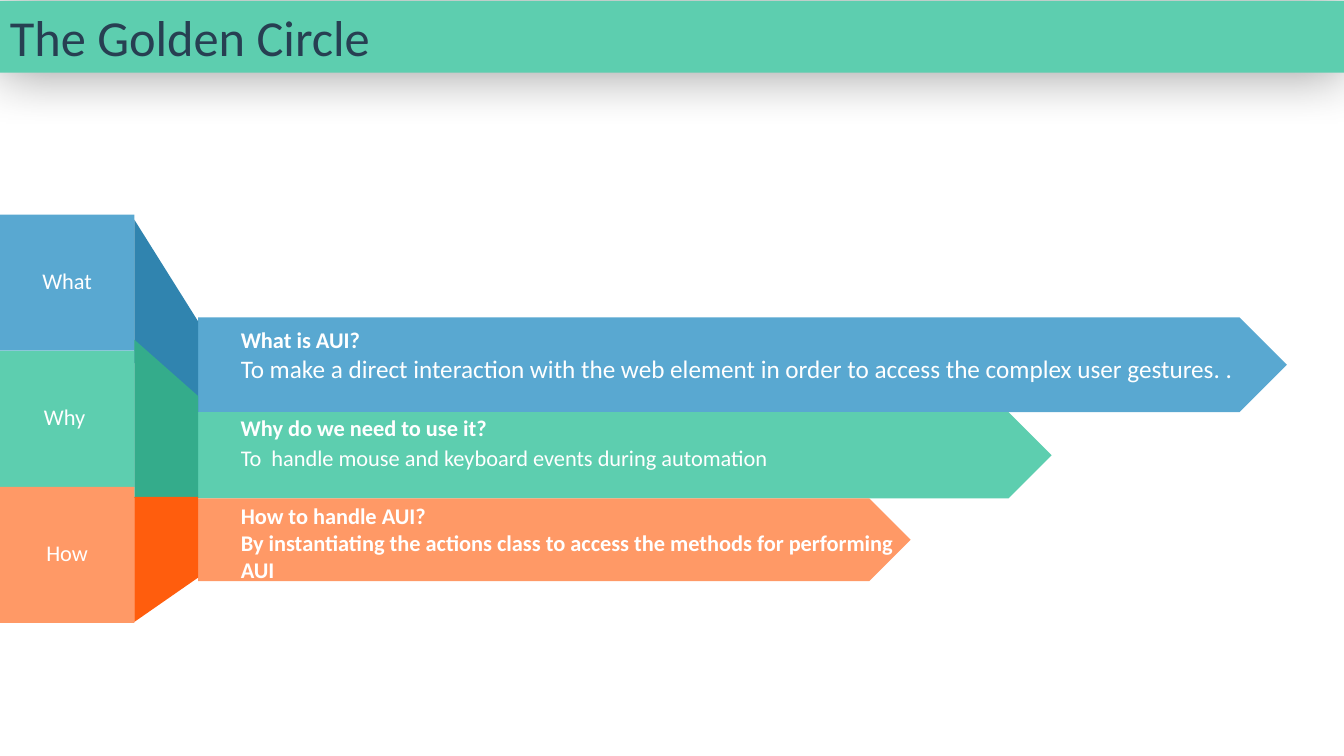
from dataclasses import dataclass

from lxml import etree
from pptx import Presentation
from pptx.dml.color import RGBColor
from pptx.enum.shapes import MSO_SHAPE
from pptx.enum.text import MSO_ANCHOR, MSO_AUTO_SIZE, PP_ALIGN
from pptx.oxml.ns import qn
from pptx.util import Inches, Pt

RECTANGLE, PENTAGON = MSO_SHAPE.RECTANGLE, MSO_SHAPE.PENTAGON
LEFT, CENTER = PP_ALIGN.LEFT, PP_ALIGN.CENTER
MIDDLE, TOP = MSO_ANCHOR.MIDDLE, MSO_ANCHOR.TOP
FIT_TEXT = MSO_AUTO_SIZE.SHAPE_TO_FIT_TEXT

WIDTH, HEIGHT = Inches(13.33), Inches(7.5)
COLUMNS, ROWS = 40, 30

# Positions on the grid, in columns and rows
TILE_WIDTH, TILE_TOP, TILE_HEIGHT = 4, 8.52, 5.4
LABEL_WIDTH, LABEL_HEIGHT, LABEL_OFFSET = 2.1, 1.48, 1.88
BAR_LEFT, BAR_TOP = 5.9, 12.6
CAPTION_LEFT = 6.87


@dataclass(frozen=True)
class Theme:
    font: str = "Calibri"
    title_size: int = 36
    large_size: int = 18
    body_size: int = 16
    title: str = "273F52"
    white: str = "FFFFFF"
    blue: str = "59A8D1"
    dark_blue: str = "3084AF"
    green: str = "5DCEAF"
    dark_green: str = "34AC8B"
    orange: str = "FF9966"
    dark_orange: str = "FF5D0D"


THEME = Theme()


@dataclass(frozen=True)
class Line:
    text: str
    bold: bool = False
    size: int = THEME.body_size


@dataclass(frozen=True)
class Caption:
    top: float
    width: float
    height: float
    lines: tuple
    wrap: bool = True


@dataclass(frozen=True)
class Band:
    label: str
    color: str
    fold_color: str
    bar_width: float
    bar_height: float
    fold_left: tuple   # top and bottom rows beside the tile
    fold_right: tuple  # top and bottom rows beside the bar
    captions: tuple


BANDS = (
    Band("What", THEME.blue, THEME.dark_blue, 32.4, 3.76,
         (8.72, 14.4), (12.76, 16.4), (
             Caption(12.76, 32.7, 2.68, (
                 Line("What is AUI?", True),
                 Line("To make a direct interaction with the web element in order "
                      "to access the complex user gestures. .",
                      size=THEME.large_size))),)),
    Band("Why ", THEME.green, THEME.dark_green, 25.4, 3.42,
         (13.48, 19.76), (15.72, 19.76), (
             Caption(16.24, 8, 1.48,
                     (Line("Why do we need to use it?", True),), wrap=False),
             Caption(17.44, 18.75, 1.48, (
                 Line("To  handle mouse and keyboard events during automation"),)))),
    Band("How", THEME.orange, THEME.dark_orange, 21.2, 3.28,
         (19.72, 24.68), (19.72, 22.92), (
             Caption(19.72, 20.25, 3.64, (
                 Line("How to handle AUI?", True),
                 Line("By instantiating the actions class to access the methods "
                      "for performing AUI ", True))),)),
)


def across(columns):
    return round(WIDTH * columns / COLUMNS)


def down(rows):
    return round(HEIGHT * rows / ROWS)


def grid_box(left, top, width, height):
    return across(left), down(top), across(width), down(height)


def paint(shape, color):
    shape.shadow.inherit = False
    shape.fill.solid()
    shape.fill.fore_color.rgb = RGBColor.from_string(color)
    shape.line.fill.background()


def add_block(slide, preset, box, color):
    shape = slide.shapes.add_shape(preset, *grid_box(*box))
    paint(shape, color)
    return shape


def add_fold(slide, band):
    """Join a tile to its bar with a four-sided outline."""
    (left_top, left_bottom), (right_top, right_bottom) = band.fold_left, band.fold_right
    corners = [(BAR_LEFT, right_top), (BAR_LEFT, right_bottom), (TILE_WIDTH, left_bottom)]
    builder = slide.shapes.build_freeform(across(TILE_WIDTH), down(left_top))
    builder.add_line_segments([(across(x), down(y)) for x, y in corners], close=True)
    paint(builder.convert_to_shape(), band.fold_color)


def write_lines(shape, lines, color=THEME.white, align=LEFT, wrap=True, anchor=TOP):
    frame = shape.text_frame
    frame.word_wrap = wrap
    frame.auto_size = FIT_TEXT
    frame.vertical_anchor = anchor
    for index, line in enumerate(lines):
        paragraph = frame.add_paragraph() if index else frame.paragraphs[0]
        paragraph.alignment = align
        run = paragraph.add_run()
        run.text = line.text
        run.font.name = THEME.font
        run.font.size = Pt(line.size)
        run.font.bold = line.bold
        run.font.color.rgb = RGBColor.from_string(color)


def add_text(slide, box, lines, **style):
    write_lines(slide.shapes.add_textbox(*grid_box(*box)), lines, **style)


def add_soft_shadow(shape, blur, opacity):
    effects = shape._element.spPr.find(qn("a:effectLst"))
    shadow = etree.SubElement(effects, qn("a:outerShdw"), blurRad=str(Pt(blur)),
                              dist="0", dir="0", algn="ctr", rotWithShape="0")
    color = etree.SubElement(shadow, qn("a:srgbClr"), val="000000")
    etree.SubElement(color, qn("a:alpha"), val=str(opacity * 1000))


def add_title(slide, text):
    banner = add_block(slide, RECTANGLE, (0, 0.04, COLUMNS, 2.84), THEME.green)
    add_soft_shadow(banner, blur=39, opacity=40)
    write_lines(banner, [Line(text, size=THEME.title_size)], THEME.title, anchor=MIDDLE)


def add_band(slide, band, tile_top, bar_top):
    # Tile, bar and the fold between them
    add_block(slide, RECTANGLE, (0, tile_top, TILE_WIDTH, TILE_HEIGHT), band.color)
    add_block(slide, PENTAGON, (BAR_LEFT, bar_top, band.bar_width, band.bar_height),
              band.color)
    add_fold(slide, band)

    # Label and captions
    label_box = ((TILE_WIDTH - LABEL_WIDTH) / 2, tile_top + LABEL_OFFSET,
                 LABEL_WIDTH, LABEL_HEIGHT)
    add_text(slide, label_box, [Line(band.label)], align=CENTER, wrap=False)
    for caption in band.captions:
        add_text(slide, (CAPTION_LEFT, caption.top, caption.width, caption.height),
                 caption.lines, wrap=caption.wrap)


def main():
    presentation = Presentation()
    presentation.slide_width, presentation.slide_height = WIDTH, HEIGHT
    slide = presentation.slides.add_slide(presentation.slide_layouts[6])

    # Bands stack downward, each bar starting where the last one ends
    bar_top = BAR_TOP
    for index, band in enumerate(BANDS):
        add_band(slide, band, TILE_TOP + index * TILE_HEIGHT, bar_top)
        bar_top += band.bar_height

    add_title(slide, "The Golden Circle")
    presentation.save("out.pptx")


main()
